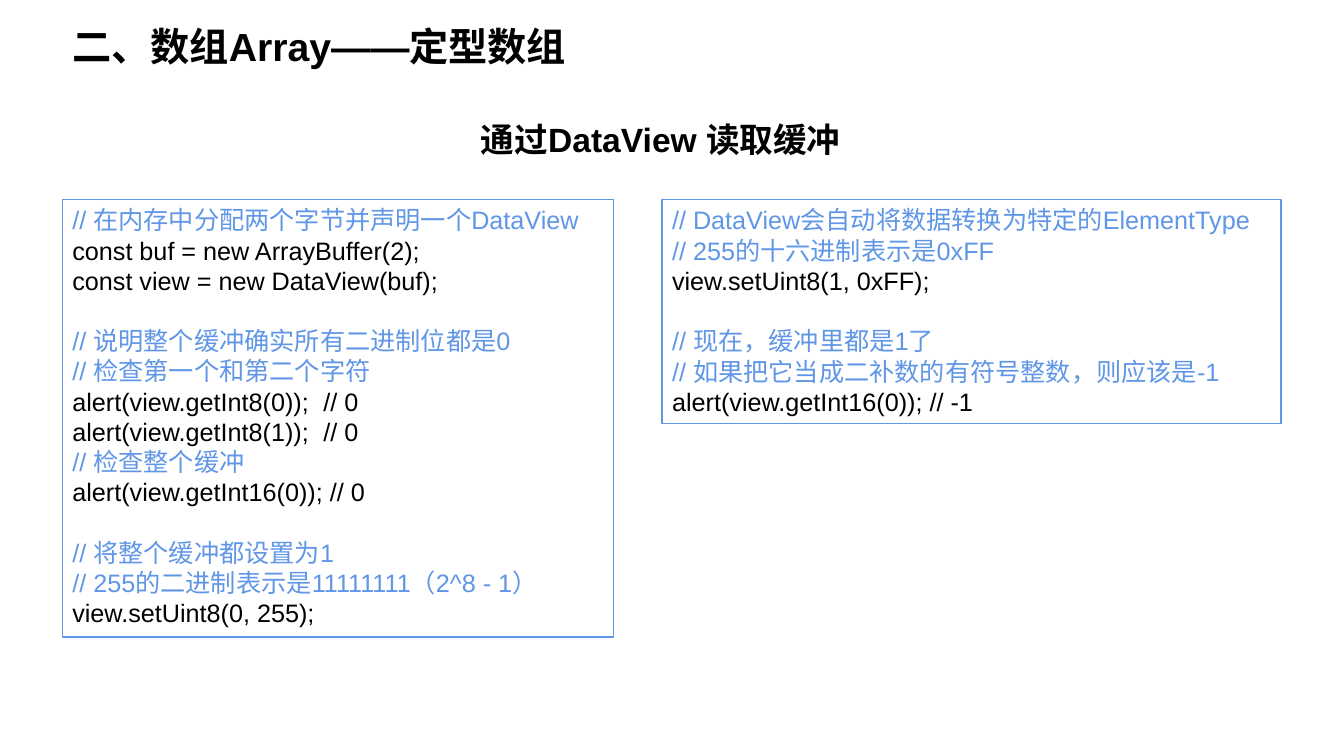
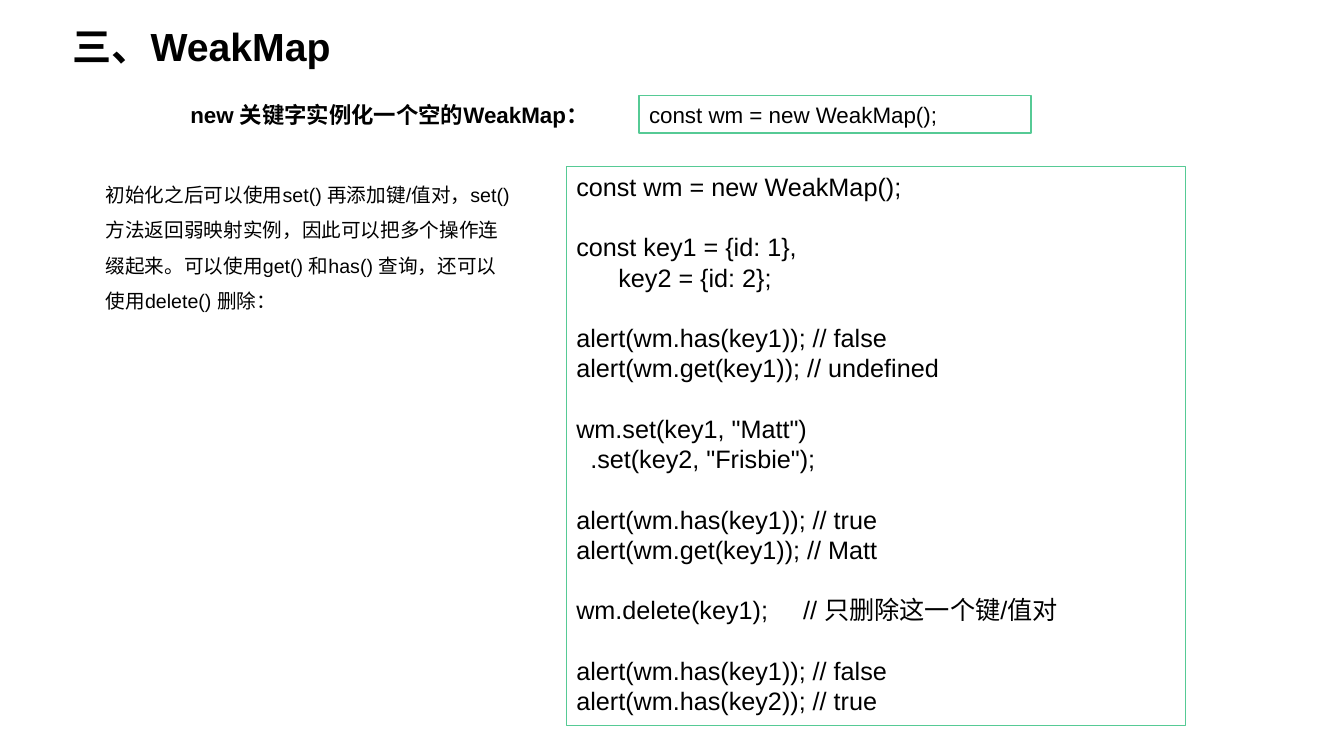
from pptx import Presentation
from pptx import util as u
from pptx.dml import color
from pptx.enum import shapes, text
from pptx.oxml import ns
from lxml import etree

HUES = {"ink": "000000", "paper": "FFFFFF", "blue": "6096E6", "green": "56CA95"}
FACE = "Arial"
LEAD = 1.2


def rgb(name):
    """Look up a named colour."""
    return color.RGBColor.from_string(HUES[name])


class Deck:
    """Shared style and the current slide."""

    def __init__(self):
        """Open a wide, empty deck."""
        self.prs = Presentation()
        self.prs.slide_width, self.prs.slide_height = u.Pt(960), u.Pt(540)

    def page(self, title):
        """Start a slide with its title."""
        self.slide = self.prs.slides.add_slide(self.prs.slide_layouts[6])
        self.label(title, (44.6, 12.2, 486.7, 41), 28, bold=True)

    def font(self, para, size, hue="ink", bold=False):
        """Set the font of a paragraph."""
        para.font.name, para.font.size = FACE, u.Pt(size)
        para.font.bold, para.font.color.rgb = bold, rgb(hue)

    def frame(self, shape):
        """Let a shape wrap its text and grow with it."""
        body = shape.text_frame
        body.word_wrap = True
        body.auto_size = text.MSO_AUTO_SIZE.SHAPE_TO_FIT_TEXT
        body.vertical_anchor = text.MSO_ANCHOR.TOP
        return body

    def label(self, words, box, size, bold=False, mid=False, gap=None):
        """Add a plain text box."""
        shape = self.slide.shapes.add_textbox(*map(u.Pt, box))
        para = self.frame(shape).paragraphs[0]
        para.text = words
        para.alignment = text.PP_ALIGN.CENTER if mid else text.PP_ALIGN.LEFT
        para.line_spacing = gap
        self.font(para, size, bold=bold)

    def code(self, words, box, edge, note="ink", size=18, tab=0):
        """Add a framed listing; an empty line becomes space before the next."""
        shape = self.slide.shapes.add_shape(
            shapes.MSO_SHAPE.RECTANGLE, *map(u.Pt, box))
        shape.shadow.inherit = False
        shape.fill.solid()
        shape.fill.fore_color.rgb = rgb("paper")
        shape.line.color.rgb, shape.line.width = rgb(edge), u.Pt(1)
        body = self.frame(shape)
        para, blank = body.paragraphs[0], False
        for line in words.strip().split("\n"):
            if not line:
                blank = True
                continue
            if para.text:
                para = body.add_paragraph()
            para.text = line.strip()
            para.alignment = text.PP_ALIGN.LEFT
            self.font(para, size, note if line.startswith("//") else "ink")
            if blank:
                para.space_before = u.Pt(size * LEAD)
            self.inset(para, (len(line) - len(line.lstrip())) * size * 0.278)
            if "\t" in line:
                self.stop(para, tab)
            blank = False

    def inset(self, para, left):
        """Indent a paragraph."""
        if left:
            props = para._p.get_or_add_pPr()
            props.set("marL", str(u.Pt(left)))
            props.set("indent", "0")

    def stop(self, para, pos):
        """Add a tab stop ahead of the paragraph's default font."""
        props = para._p.get_or_add_pPr()
        tabs = etree.Element(ns.qn("a:tabLst"))
        etree.SubElement(tabs, ns.qn("a:tab"), pos=str(u.Pt(pos)), algn="l")
        props.find(ns.qn("a:defRPr")).addprevious(tabs)


ALLOC = """
// 在内存中分配两个字节并声明一个DataView
const buf = new ArrayBuffer(2);
const view = new DataView(buf);

// 说明整个缓冲确实所有二进制位都是0
// 检查第一个和第二个字符
alert(view.getInt8(0));\t// 0
alert(view.getInt8(1));\t// 0
// 检查整个缓冲
alert(view.getInt16(0)); // 0

// 将整个缓冲都设置为1
// 255的二进制表示是11111111（2^8 - 1）
view.setUint8(0, 255);
"""

READ = """
// DataView会自动将数据转换为特定的ElementType
// 255的十六进制表示是0xFF
view.setUint8(1, 0xFF);

// 现在，缓冲里都是1了
// 如果把它当成二补数的有符号整数，则应该是-1
alert(view.getInt16(0)); // -1
"""

WEAK = """
const wm = new WeakMap();

const key1 = {id: 1},
      key2 = {id: 2};

alert(wm.has(key1)); // false
alert(wm.get(key1)); // undefined

wm.set(key1, "Matt")
  .set(key2, "Frisbie");

alert(wm.has(key1)); // true
alert(wm.get(key1)); // Matt

wm.delete(key1);\t// 只删除这一个键/值对

alert(wm.has(key1)); // false
alert(wm.has(key2)); // true
"""

deck = Deck()

deck.page("二、数组Array——定型数组")
deck.label("通过DataView 读取缓冲", (67.7, 67, 808.6, 51.1), 24,
           bold=True, mid=True, gap=1.5)
deck.code(ALLOC, (44.6, 142.6, 393.8, 312.5), "blue", "blue", tab=179.3)
deck.code(READ, (473, 142.6, 442.1, 159.8), "blue", "blue")

deck.page("三、WeakMap")
deck.label("new 关键字实例化一个空的WeakMap：", (128.9, 68.4, 304.6, 26.6), 16,
           bold=True)
deck.code("const wm = new WeakMap();", (456.5, 68.4, 280.1, 26.6), "green", size=16)
deck.code(WEAK, (404.6, 118.8, 442.1, 399.6), "green", tab=162)
deck.label("初始化之后可以使用set() 再添加键/值对，set() 方法返回弱映射实例，"
           "因此可以把多个操作连缀起来。可以使用get() 和has() 查询，"
           "还可以使用delete() 删除：", (68.4, 118.8, 303.8, 108.7), 14, gap=1.5)

deck.prs.save("out.pptx")
